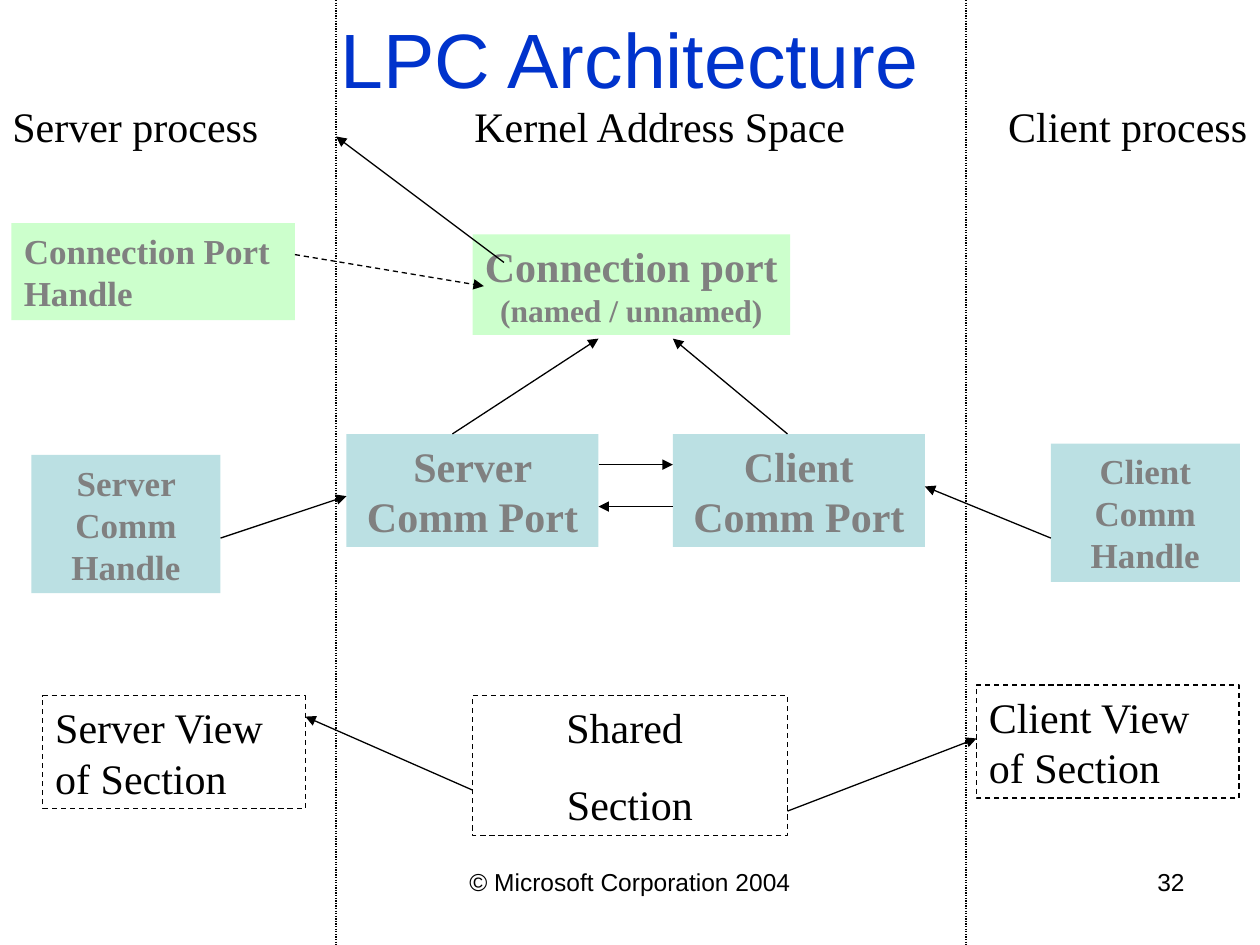
from lxml import etree
from pptx import Presentation
from pptx.dml.color import RGBColor
from pptx.enum import dml, shapes, text
from pptx.oxml import ns
from pptx.util import Pt

hue = RGBColor.from_string
LEFT, MID, RIGHT = text.PP_ALIGN.LEFT, text.PP_ALIGN.CENTER, text.PP_ALIGN.RIGHT
GROW, FIXED = text.MSO_AUTO_SIZE.SHAPE_TO_FIT_TEXT, text.MSO_AUTO_SIZE.NONE
DASH, DOT = dml.MSO_LINE.DASH, dml.MSO_LINE.ROUND_DOT
SERIF, SANS = "Times New Roman", "Arial"
BLACK, GREY, BLUE = "000000", "808080", "0033CC"
GREEN, TEAL = "CCFFCC", "BBE0E3"

deck = Presentation()
deck.slide_width, deck.slide_height = Pt(720), Pt(540)
page = deck.slides.add_slide(deck.slide_layouts[6])


def label(item, rows, align=LEFT, font=SERIF, color=BLACK, bold=False,
          wrap=True, fit=GROW, gap=0):
    """Write (words, size) rows into item, one paragraph each, gap points apart."""
    frame = item.text_frame
    frame.word_wrap = wrap
    frame.auto_size = fit
    frame.vertical_anchor = text.MSO_ANCHOR.TOP
    for i, (words, size) in enumerate(rows):
        para = frame.add_paragraph() if i else frame.paragraphs[0]
        para.alignment = align
        if i:
            para.space_before = Pt(gap)
        run = para.add_run()
        run.text = words
        run.font.name, run.font.size, run.font.bold = font, Pt(size), bold
        run.font.color.rgb = hue(color)
    return frame


def link(x1, y1, x2, y2, dash=None, arrow=True):
    line = page.shapes.add_connector(
        shapes.MSO_CONNECTOR.STRAIGHT, Pt(x1), Pt(y1), Pt(x2), Pt(y2))
    line.line.color.rgb = hue(BLACK)
    line.line.width = Pt(0.75)
    if dash:
        line.line.dash_style = dash
    if arrow:
        etree.SubElement(line.line._get_or_add_ln(), ns.qn("a:tailEnd"), type="triangle")
    etree.SubElement(line._element.spPr, ns.qn("a:effectLst"))


# Borders between the address spaces, and their headings
for x in (192, 552):
    link(x, 0, x, 540, DOT, arrow=False)
for words, x, w in [("Server process", 0, 155),
                    ("Kernel Address Space", 264, 227.5),
                    ("Client process", 569, 151)]:
    head = page.shapes.add_textbox(Pt(x), Pt(54), Pt(w), Pt(36))
    label(head, [(words, 24)], wrap=False)

# Ports and their handles
ports = [
    (6.5, 127.5, 162, 55.5, GREEN, LEFT, True, [("Connection Port Handle", 20)]),
    (270, 134, 181.5, 57.5, GREEN, MID, False,
     [("Connection port", 24), ("(named / unnamed)", 18)]),
    (198, 248, 144, 64.5, TEAL, MID, True, [("Server Comm Port", 24)]),
    (384.5, 248, 144, 64.5, TEAL, MID, True, [("Client Comm Port", 24)]),
    (18, 260, 108, 79, TEAL, MID, True, [("Server Comm Handle", 20)]),
    (600.5, 253.5, 108, 79, TEAL, MID, True, [("Client Comm Handle", 20)]),
]
for x, y, w, h, fill, align, wrap, rows in ports:
    port = page.shapes.add_shape(
        shapes.MSO_SHAPE.RECTANGLE, Pt(x), Pt(y), Pt(w), Pt(h))
    port.shadow.inherit = False
    port.fill.solid()
    port.fill.fore_color.rgb = hue(fill)
    port.line.fill.background()
    label(port, rows, align, color=GREY, bold=True, wrap=wrap)

# Shared section and its views
views = [
    (24.5, 397.5, 150, 64.5, LEFT, [("Server View of Section", 24)]),
    (270, 397.5, 180, 80, MID, [("Shared ", 24), ("Section", 24)]),
    (558, 391.5, 150, 64.5, LEFT, [("Client View of Section", 24)]),
]
for x, y, w, h, align, rows in views:
    view = page.shapes.add_shape(
        shapes.MSO_SHAPE.RECTANGLE, Pt(x), Pt(y), Pt(w), Pt(h))
    view.shadow.inherit = False
    view.fill.background()
    view.line.color.rgb = hue(BLACK)
    view.line.width = Pt(0.75)
    view.line.dash_style = DASH
    label(view, rows, align, gap=15)

# Arrows
for ends in [
    (342, 265.5, 384.5, 265.5),
    (384.5, 289.5, 342, 289.5),
    (258.5, 248, 342, 193.5),
    (450, 248, 384.5, 193.5),
    (288, 150, 192, 78),
    (126, 307.5, 198, 283.5),
    (270, 451.5, 174.5, 409.5),
    (450, 463.5, 558, 422),
    (600.5, 307.5, 528.5, 278),
]:
    link(*ends)
link(168.5, 145.5, 276.5, 163.5, DASH)

# Title and footer
title = page.shapes.add_textbox(Pt(54), Pt(0), Pt(612), Pt(66))
frame = label(title, [("LPC Architecture", 44)], MID, SANS, BLUE, fit=FIXED)
frame.vertical_anchor = text.MSO_ANCHOR.MIDDLE
for words, x, w, align in [("© Microsoft Corporation 2004", 246, 228, MID),
                           ("32", 516, 168, RIGHT)]:
    foot = page.shapes.add_textbox(Pt(x), Pt(492), Pt(w), Pt(37.5))
    label(foot, [(words, 14)], align, SANS, fit=FIXED)

deck.save("out.pptx")
